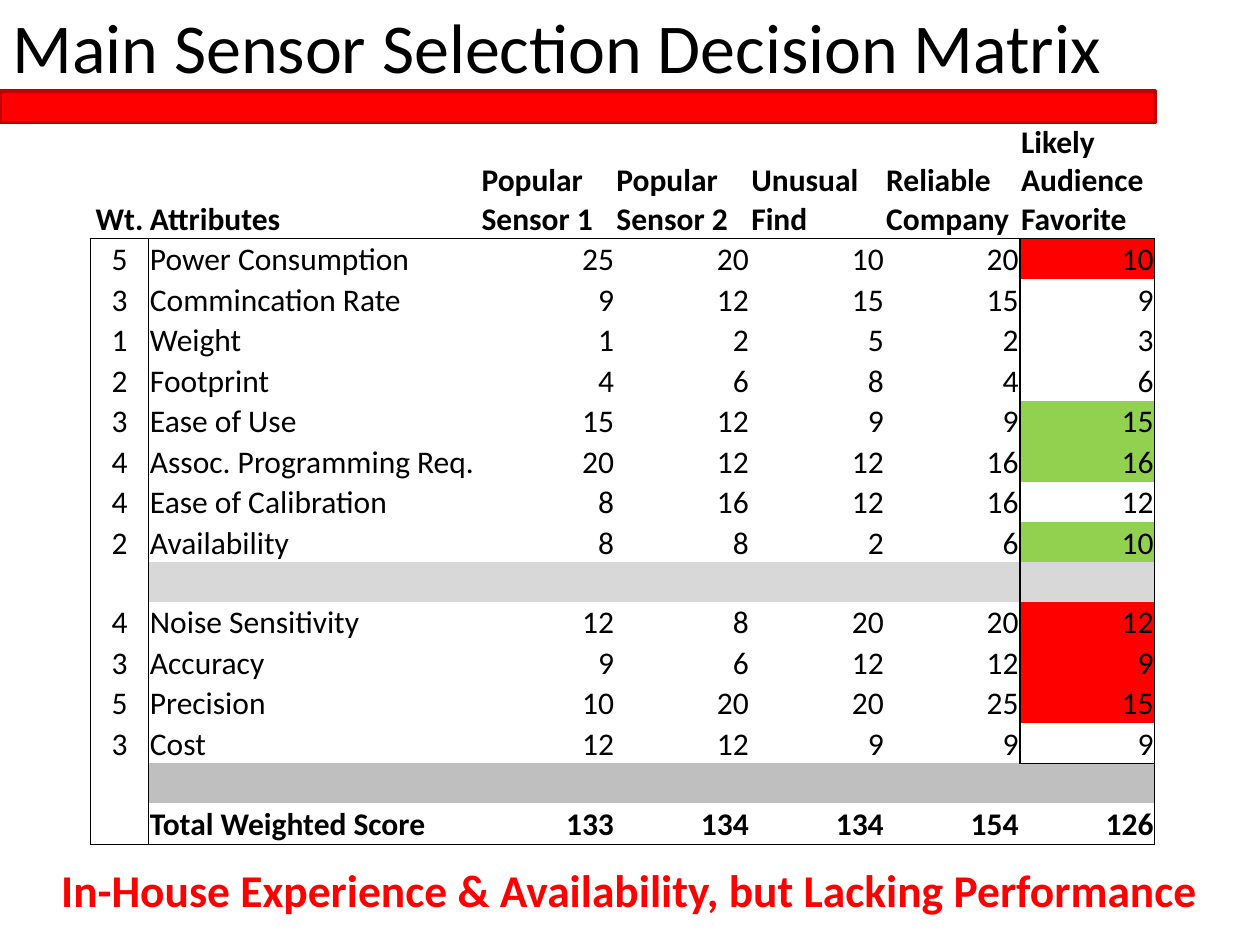
"""Build the sensor selection decision matrix slide."""
from dataclasses import dataclass

from lxml import etree
from pptx import Presentation
from pptx import util as u
from pptx.dml import color
from pptx.enum import shapes, text
from pptx.oxml import ns


@dataclass(frozen=True)
class Theme:
    font: str = "Calibri"
    title_size: float = 40
    table_size: float = 18
    verdict_size: float = 26
    ink: str = "000000"
    red: str = "FF0000"
    dark_red: str = "C00000"
    green: str = "92D050"
    pale_gray: str = "D8D8D8"
    gray: str = "BFBFBF"


THEME = Theme()
HEADINGS = ("Wt.", "Attributes", "Popular Sensor 1", "Popular Sensor 2",
            "Unusual Find", "Reliable Company", "Likely Audience Favorite")
BLANK = ("",) * len(HEADINGS)
MATRIX = (
    HEADINGS,
    (5, "Power Consumption", 25, 20, 10, 20, 10),
    (3, "Commincation Rate", 9, 12, 15, 15, 9),
    (1, "Weight", 1, 2, 5, 2, 3),
    (2, "Footprint", 4, 6, 8, 4, 6),
    (3, "Ease of Use", 15, 12, 9, 9, 15),
    (4, "Assoc. Programming Req.", 20, 12, 12, 16, 16),
    (4, "Ease of Calibration", 8, 16, 12, 16, 12),
    (2, "Availability", 8, 8, 2, 6, 10),
    BLANK,
    (4, "Noise Sensitivity", 12, 8, 20, 20, 12),
    (3, "Accuracy", 9, 6, 12, 12, 9),
    (5, "Precision", 10, 20, 20, 25, 15),
    (3, "Cost", 12, 12, 9, 9, 9),
    BLANK,
    ("", "Total Weighted Score", 133, 134, 134, 154, 126),
)
TOTAL = len(MATRIX) - 1
FAVORITE = len(HEADINGS) - 1
SEPARATORS = {9: THEME.pale_gray, 14: THEME.gray}
WEAK_ROWS = (1, 10, 11, 12)
STRONG_ROWS = (5, 6, 8)
COLUMN_WIDTHS = [33.4, 189.5] + [77.1] * 5
ROW_HEIGHTS = [70.4] + [23.15] * 8 + [22.3] + [23.15] * 4 + [22.3, 23.9]


def rgb(value):
    """Turn a hex string into a colour."""
    return color.RGBColor.from_string(value)


def style(paragraph, size, ink, bold=False, align=text.PP_ALIGN.LEFT):
    """Format a paragraph and its runs."""
    paragraph.alignment = align
    for run in paragraph.runs:
        run.font.name = THEME.font
        run.font.size = u.Pt(size)
        run.font.bold = bold
        run.font.color.rgb = rgb(ink)


def add_line_of_text(slide, words, box, wrap, **look):
    """Add a text box with one paragraph."""
    frame = slide.shapes.add_textbox(*map(u.Pt, box)).text_frame
    frame.word_wrap = wrap
    frame.auto_size = text.MSO_AUTO_SIZE.SHAPE_TO_FIT_TEXT
    frame.text = words
    style(frame.paragraphs[0], **look)


def add_band(slide, box):
    """Add the red band below the title."""
    band = slide.shapes.add_shape(shapes.MSO_SHAPE.RECTANGLE, *map(u.Pt, box))
    band.shadow.inherit = False
    band.fill.solid()
    band.fill.fore_color.rgb = rgb(THEME.red)
    band.line.color.rgb = rgb(THEME.dark_red)
    band.line.width = u.Pt(2)


def ruled_vertically(edge, row):
    """Tell whether the column edge is ruled beside this row."""
    if edge == FAVORITE:
        return 1 <= row < 14
    return row >= 1 and edge in (0, 1, FAVORITE + 1)


def ruled_horizontally(edge, column):
    """Tell whether the row edge is ruled along this column."""
    return edge in (1, TOTAL + 1) or (edge == 14 and column == FAVORITE)


def add_borders(cell, row, column):
    """Rule the four sides of a cell, or leave them empty."""
    sides = {"a:lnL": ruled_vertically(column, row),
             "a:lnR": ruled_vertically(column + 1, row),
             "a:lnT": ruled_horizontally(row, column),
             "a:lnB": ruled_horizontally(row + 1, column)}
    properties = cell._tc.get_or_add_tcPr()
    for tag, ruled in sides.items():
        side = etree.SubElement(properties, ns.qn(tag), w=str(u.Pt(1)))
        if ruled:
            paint = etree.SubElement(side, ns.qn("a:solidFill"))
            etree.SubElement(paint, ns.qn("a:srgbClr"), val=THEME.ink)
        else:
            etree.SubElement(side, ns.qn("a:noFill"))


def cell_color(row, column):
    """Choose the fill of a cell, if it has one."""
    if column and row in SEPARATORS:
        return SEPARATORS[row]
    if column == FAVORITE and row in WEAK_ROWS:
        return THEME.red
    if column == FAVORITE and row in STRONG_ROWS:
        return THEME.green
    return None


def cell_alignment(row, column):
    """Centre weights, set scores right and the rest left."""
    if column == 0:
        return text.PP_ALIGN.CENTER
    if row == 0 or column == 1:
        return text.PP_ALIGN.LEFT
    return text.PP_ALIGN.RIGHT


def fill_cell(cell, value, row, column):
    """Write and format one cell of the matrix."""
    cell.margin_left = cell.margin_right = cell.margin_top = u.Pt(0.72)
    cell.margin_bottom = u.Pt(0)
    cell.vertical_anchor = text.MSO_ANCHOR.BOTTOM
    cell.text_frame.text = str(value)
    style(cell.text_frame.paragraphs[0], THEME.table_size, THEME.ink,
          row in (0, TOTAL), cell_alignment(row, column))
    add_borders(cell, row, column)
    shade = cell_color(row, column)
    if shade:
        cell.fill.solid()
        cell.fill.fore_color.rgb = rgb(shade)
    else:
        cell.fill.background()


def add_matrix(slide, left, top):
    """Add the decision matrix table."""
    matrix = slide.shapes.add_table(
        len(MATRIX), len(HEADINGS), u.Pt(left), u.Pt(top),
        u.Pt(sum(COLUMN_WIDTHS)), u.Pt(sum(ROW_HEIGHTS))).table
    matrix.first_row = matrix.horz_banding = False
    for column, width in zip(matrix.columns, COLUMN_WIDTHS):
        column.width = u.Pt(width)
    for row, height in zip(matrix.rows, ROW_HEIGHTS):
        row.height = u.Pt(height)
    for row, values in enumerate(MATRIX):
        for column, value in enumerate(values):
            fill_cell(matrix.cell(row, column), value, row, column)


def main():
    """Compose the slide and save it."""
    deck = Presentation()
    deck.slide_width, deck.slide_height = u.Pt(720), u.Pt(540)
    slide = deck.slides.add_slide(deck.slide_layouts[6])
    add_band(slide, (0, 52, 660, 18))
    add_line_of_text(slide, "Main Sensor Selection Decision Matrix",
                     (0, -1.5, 643, 55.7), False,
                     size=THEME.title_size, ink=THEME.ink)
    add_matrix(slide, 51.6, 66)
    add_line_of_text(
        slide, "In-House Experience & Availability, but Lacking Performance",
        (0, 489, 720, 38.8), True, size=THEME.verdict_size, ink=THEME.red,
        bold=True, align=text.PP_ALIGN.CENTER)
    deck.save("out.pptx")


if __name__ == "__main__":
    main()
